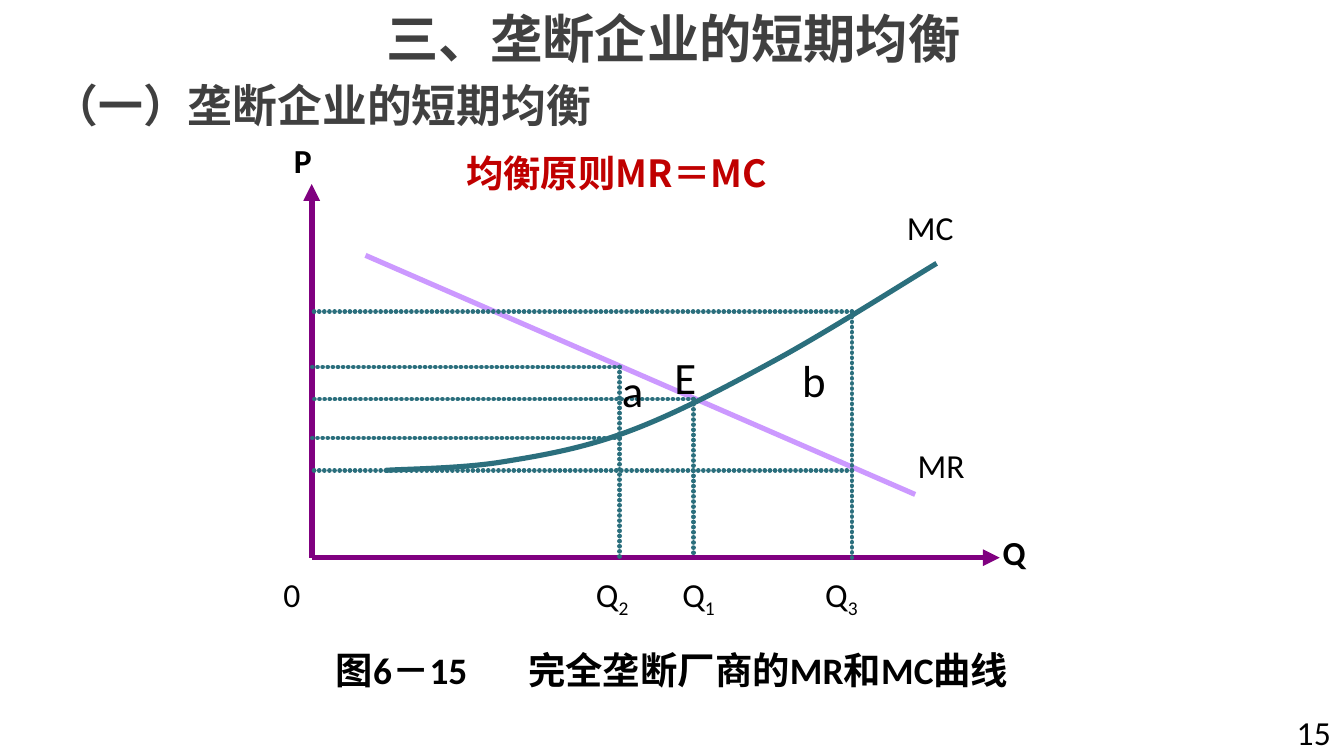
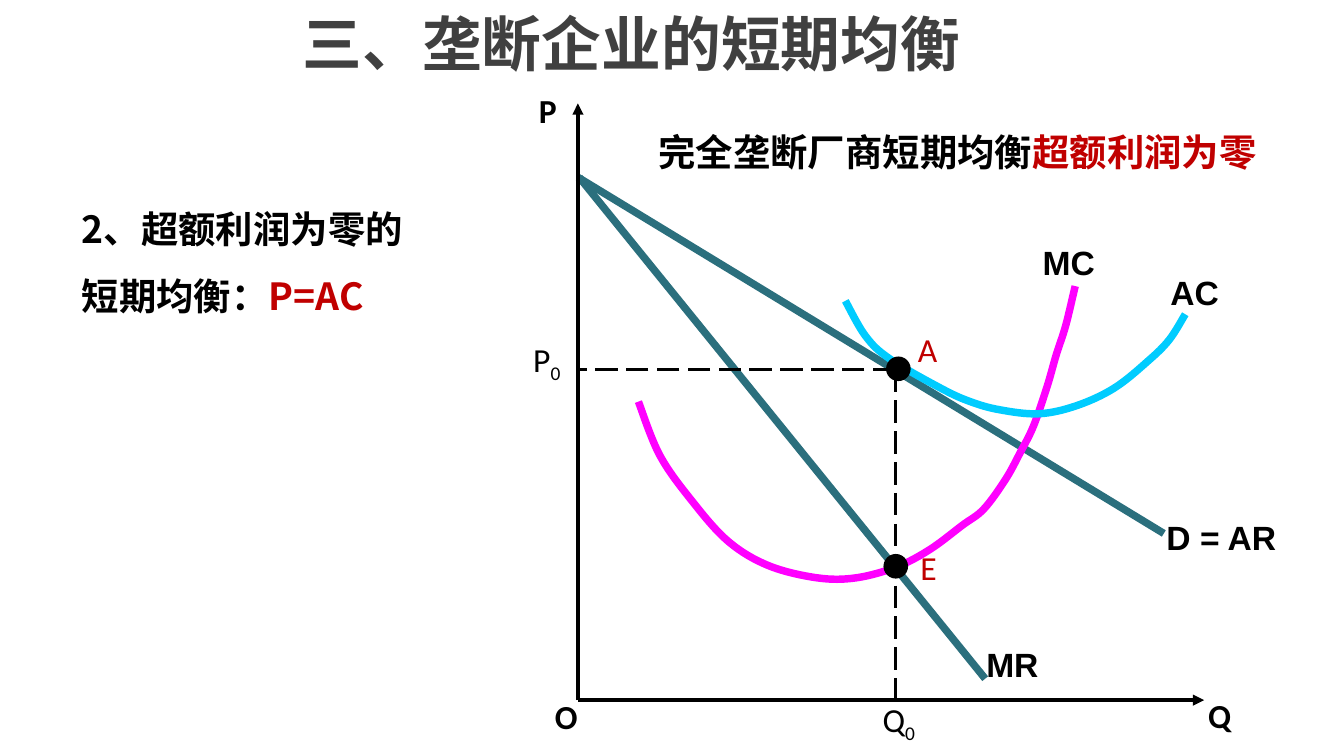
from lxml import etree
from pptx import Presentation
from pptx.dml.color import RGBColor
from pptx.enum import dml, shapes, text
from pptx.oxml import ns
from pptx.util import Pt

BLACK = RGBColor(0, 0, 0)
GREY = RGBColor(0x40, 0x40, 0x40)
RED = RGBColor(0xC0, 0, 0)
PURPLE = RGBColor(0x80, 0, 0x80)
LILAC = RGBColor(0xCC, 0x99, 0xFF)
TEAL = RGBColor(0x2B, 0x6F, 0x7D)
PINK = RGBColor(0xFF, 0, 0xFF)
CYAN = RGBColor(0, 0xCC, 0xFF)
LATIN, HAN, SANS = "Calibri", "Noto Sans CJK SC", "Arial"
LEFT, MID, RIGHT = (text.PP_ALIGN.LEFT, text.PP_ALIGN.CENTER,
                    text.PP_ALIGN.RIGHT)
TITLE = "三、垄断企业的短期均衡"


def add(parent, tag, **attrs):
    """Append a drawing element."""
    return etree.SubElement(parent, ns.qn(tag), **attrs)


def add_run(para, words):
    """Add a run when there are words for it."""
    run = para.add_run()
    run.text = words
    return run.font


def fill_text(para, line):
    """Add a line; _ lowers the next character and | starts a red part."""
    plain, _, red = line.partition("|")
    head, *rest = plain.split("_")
    add_run(para, head)
    for part in rest:
        add_run(para, part[0])._element.set("baseline", "-25000")
        if part[1:]:
            add_run(para, part[1:])
    if red:
        add_run(para, red).color.rgb = RED


def write(slide, box, words, size=18, face=LATIN, color=BLACK, bold=False,
          align=LEFT, wrap=True, space=None, tabs=()):
    """Place a text box with one paragraph for each line of words."""
    frame = slide.shapes.add_textbox(*map(Pt, box)).text_frame
    frame.word_wrap = wrap
    for i, line in enumerate(words.split("\n")):
        para = frame.add_paragraph() if i else frame.paragraphs[0]
        fill_text(para, line)
        para.alignment = align
        if space:
            para.line_spacing = space
        if tabs:
            stops = add(para._p.get_or_add_pPr(), "a:tabLst")
            for tab in tabs:
                add(stops, "a:tab", pos=str(Pt(tab)), algn="l")
        font = para.font
        font.size, font.name, font.bold = Pt(size), face, bold
        font.color.rgb = color
        add(font._element, "a:ea", typeface=HAN)


class Plot:
    """A diagram whose parts are placed from the top left of its box."""

    def __init__(self, slide, box):
        """Keep the slide and the box."""
        self.slide = slide
        self.left, self.top, self.wide, self.high = box

    def at(self, x, y):
        """Turn a point of the diagram into a point of the slide."""
        return Pt(self.left + x), Pt(self.top + y)

    def line(self, start, end, color, width, dots=False, dash=False,
             arrow=False):
        """Draw a straight line."""
        link = self.slide.shapes.add_connector(
            shapes.MSO_CONNECTOR.STRAIGHT, *self.at(*start), *self.at(*end))
        link.line.color.rgb, link.line.width = color, Pt(width)
        pen = link.line._get_or_add_ln()
        if dash:
            link.line.dash_style = dml.MSO_LINE.LONG_DASH
        if dots:
            pen.set("cap", "rnd")
            add(add(pen, "a:custDash"), "a:ds", d="100000", sp="10000")
        if arrow:
            add(pen, "a:tailEnd", type="triangle")
        add(link._element.spPr, "a:effectLst")

    def axes(self, color, width):
        """Draw both axes with arrows from the lower left corner."""
        for tip in ((0, 0), (self.wide, self.high)):
            self.line((0, self.high), tip, color, width, arrow=True)

    def curve(self, knots, color, width):
        """Draw a smooth open curve through the knots."""
        dots = [self.at(*knot) for knot in knots]
        pen = self.slide.shapes.build_freeform(*dots[0])
        pen.add_line_segments(dots[1:], close=False)
        shape = pen.convert_to_shape()
        shape.shadow.inherit = False
        shape.fill.background()
        shape.line.color.rgb, shape.line.width = color, Pt(width)
        dots = [(x - shape.left, y - shape.top) for x, y in dots]
        ends = [dots[0], *dots, dots[-1]]
        parts = list(shape._element.iter(ns.qn("a:lnTo")))
        for part, a, b, c, d in zip(parts, ends, ends[1:], ends[2:],
                                    ends[3:]):
            part.tag = ns.qn("a:cubicBezTo")
            bend = [[q + (r - p) / 6 for p, q, r in zip(a, b, c)],
                    [r - (s - q) / 6 for q, r, s in zip(b, c, d)]]
            for i, (x, y) in enumerate(bend):
                point = etree.Element(ns.qn("a:pt"), x=str(round(x)),
                                      y=str(round(y)))
                part.insert(i, point)

    def spot(self, x, y, size=12.2):
        """Mark a point with a black dot."""
        dot = self.slide.shapes.add_shape(
            shapes.MSO_SHAPE.OVAL, *self.at(x - size / 2, y - size / 2),
            Pt(size), Pt(size))
        dot.shadow.inherit = False
        dot.fill.solid()
        dot.fill.fore_color.rgb = dot.line.color.rgb = BLACK
        dot.line.width = Pt(1)

    def label(self, words, x, y, wide, high=28.8, **style):
        """Write a label."""
        write(self.slide, (self.left + x, self.top + y, wide, high),
              words, **style)


def draw_rule(slide, box):
    """Draw the MR and MC curves with their dotted guides."""
    plot = Plot(slide, box)
    plot.axes(PURPLE, 3)
    plot.line((28.8, 38.2), (323.3, 166.3), LILAC, 2.75)
    plot.curve([(39.6, 153.4), (101.5, 149), (169.9, 132.5), (249.1, 94),
                (334.8, 42.5)], TEAL, 2.75)
    two, one, three = 165, 204.5, 289.4
    for x, y in ((one, 115.2), (three, 68.4), (two, 98)):
        plot.line((x, y), (x, plot.high), TEAL, 2.5, dots=True)
    for x, y in ((one, 115.2), (three, 153.4), (two, 136), (two, 98),
                 (three, 68.4)):
        plot.line((x, y), (0, y), TEAL, 2.5, dots=True)
    for words, x, y in (("MC", 311.8, 8.6), ("MR", 317.5, 136)):
        plot.label(words, x, y, 68)
    for words, x, y in (("E", 187.2, 85), ("a", 159, 92.2), ("b", 255.6, 87)):
        plot.label(words, x, y, 51, 36, size=24)
    plot.label("0\tQ_2\tQ_1\tQ_3", -22.3, 205.2, 391, 31.7,
               tabs=(167.5, 213.8, 290.3))
    for words, x, y in (("P", -16.6, -27.4), ("Q", 363, 183)):
        plot.label(words, x, y, 51, bold=True)


def draw_zero(slide, box):
    """Draw the equilibrium with zero excess profit."""
    plot = Plot(slide, box)
    plot.line((0, 39.6), (313.9, 230.4), TEAL, 4)
    plot.line((0.7, 39.6), (218.2, 308.2), TEAL, 4)
    plot.axes(BLACK, 2)
    plot.curve([(32.4, 159.8), (43.9, 188.6), (61.2, 213.1), (80.6, 234.7),
                (102.2, 247.7), (128.2, 254.2), (149, 254.2), (170.6, 248.4),
                (188.6, 239), (205.9, 226.1), (217.4, 217.4), (229, 201.6),
                (236.9, 187.2), (244.1, 172.8), (251.3, 151.9),
                (256.3, 134.6), (261.4, 118.8), (266.4, 97.9)], PINK, 4)
    plot.curve([(143.3, 105.8), (154.1, 124.6), (167, 136.8), (194.4, 152.6),
                (210.2, 159.8), (226.1, 164.2), (247, 166.3), (267.1, 162),
                (287.3, 152.6), (305.3, 138.2), (316.8, 126.7),
                (325.4, 113)], CYAN, 4)
    x, y = 170, 142.6
    for end in ((x, plot.high), (0, y)):
        plot.line((x, y), end, BLACK, 1.5, dash=True)
    plot.spot(170.3, 248)
    plot.spot(171.7, 142.2)
    for words, x, y, wide in (("D = AR", 308.2, 218.2, 73.4),
                              ("MR", 211.7, 285.8, 42.5),
                              ("MC", 241.9, 70.6, 42.5),
                              ("AC", 310.3, 87, 40.3)):
        plot.label(words, x, y, wide, face=SANS, bold=True, wrap=False)
    for words, x, y, wide in (("Q", 330.5, 313.2, 26.6),
                              ("P", -28, -10.8, 23.8),
                              ("O", -19.4, 313.9, 26.6)):
        plot.label(words, x, y, wide, bold=True, wrap=False)
    for words, x, y, wide in (("P_0", -31, 122.4, 28.8),
                              ("Q_0", 156.2, 315.4, 31.7)):
        plot.label(words, x, y, wide, 31.7, wrap=False)
    for words, x, y in (("E", 176.4, 234), ("A", 175, 117.4)):
        plot.label(words, x, y, 23.8, color=RED, wrap=False)


def add_slide(deck, left, size):
    """Add a blank slide with the shared title."""
    slide = deck.slides.add_slide(deck.slide_layouts[6])
    write(slide, (left, 0, 648, 51), TITLE, size, HAN, GREY, True, MID)
    return slide


def main():
    """Build both slides and save them."""
    deck = Presentation()
    deck.slide_width, deck.slide_height = Pt(720), Pt(405)

    slide = add_slide(deck, 36.7, 28)
    write(slide, (552, 378, 168, 14.4), "15", align=RIGHT)
    draw_rule(slide, (167, 98.6, 368.6, 200.2))
    write(slide, (172.8, 343.4, 396.7, 31.7),
          "图6－15\t完全垄断厂商的MR和MC曲线", 20, bold=True, tabs=[103])
    write(slide, (242.6, 77, 192.2, 31.7), "均衡原则MR＝MC", 20, HAN, RED,
          True, wrap=False)
    write(slide, (21.6, 38.2, 302.4, 36), "（一）垄断企业的短期均衡", 24, HAN,
          GREY, True, wrap=False)

    slide = add_slide(deck, 14.4, 32)
    write(slide, (36.7, 95, 209.5, 79.2),
          "2、超额利润为零的\n短期均衡：|P=AC", 20, HAN, bold=True, space=1.5)
    draw_zero(slide, (309.6, 55.4, 335.5, 319.7))
    write(slide, (342.7, 65.5, 340.6, 31.7),
          "完全垄断厂商短期均衡|超额利润为零", 20, bold=True, align=MID)
    deck.save("out.pptx")


if __name__ == "__main__":
    main()
